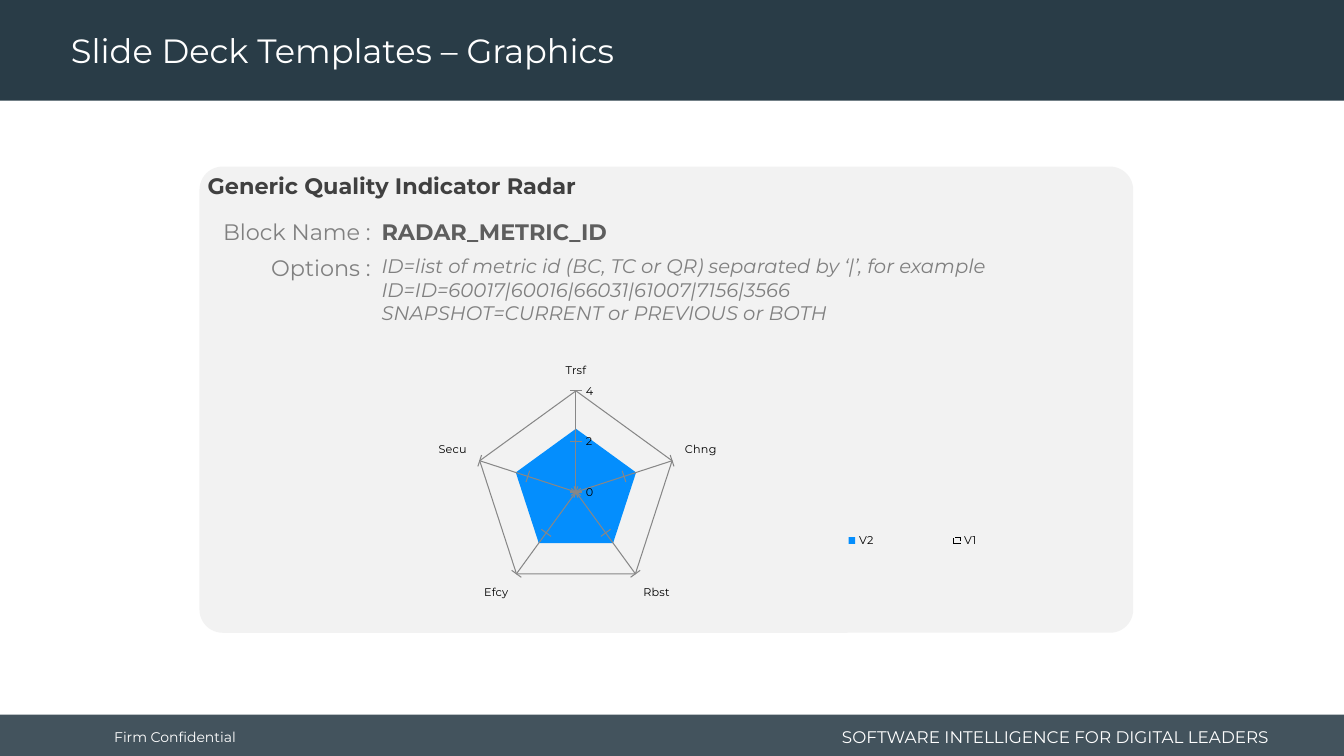
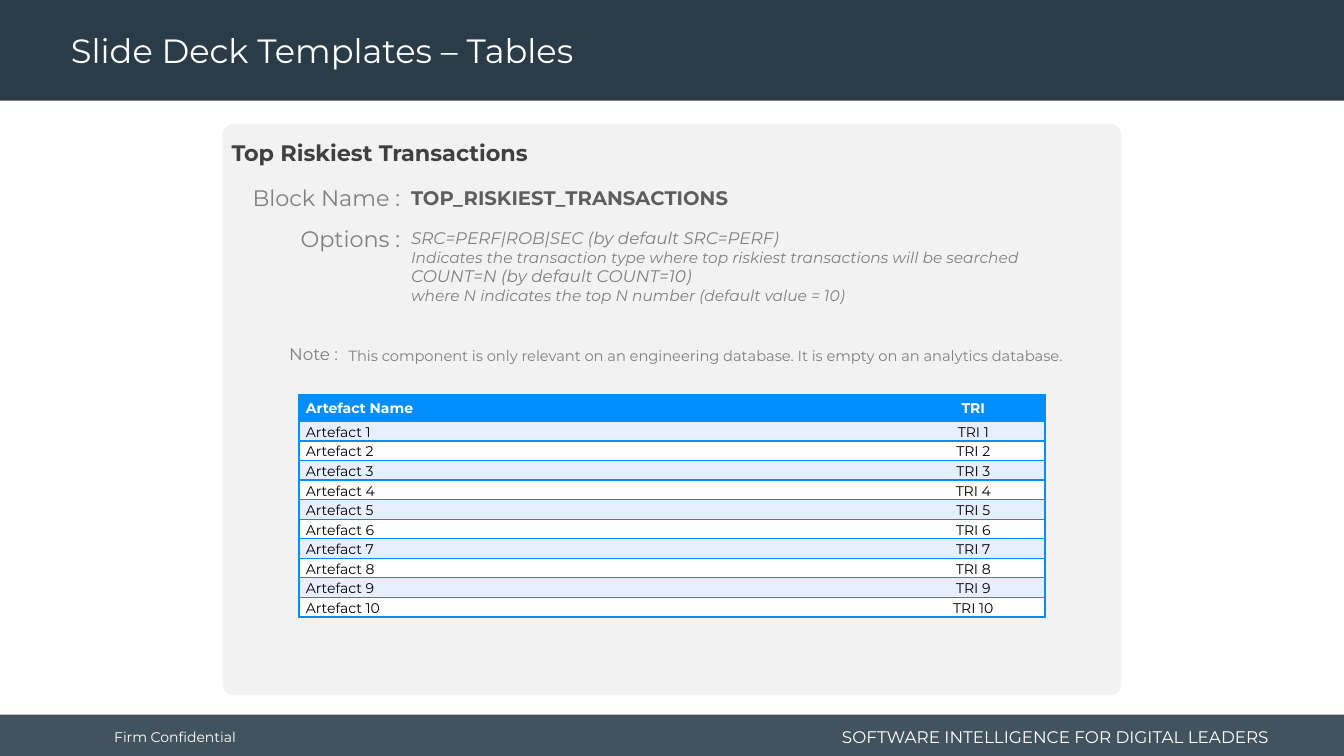
"""Build two slides that document report blocks: a radar chart and a table."""
from dataclasses import dataclass

from lxml import etree
from pptx import Presentation
from pptx.chart.data import CategoryChartData
from pptx.dml.color import RGBColor
from pptx.enum import chart as charts, dml, shapes, text
from pptx.oxml import ns
from pptx.util import Pt

FONT = "Montserrat"
NAVY = RGBColor(0x29, 0x3C, 0x47)
WHITE = RGBColor(0xFF, 0xFF, 0xFF)
BLACK = RGBColor(0, 0, 0)
CARD_GRAY = RGBColor(0xF2, 0xF2, 0xF2)
HEADING = RGBColor(0x40, 0x40, 0x40)
NAME_GRAY = RGBColor(0x5E, 0x5E, 0x5E)
TEXT_GRAY = RGBColor(0x80, 0x80, 0x80)
AXIS_GRAY = RGBColor(0x87, 0x87, 0x87)
BLUE = RGBColor(0x04, 0x8E, 0xFD)
PALE_BLUE = RGBColor(0xE7, 0xEE, 0xFF)

LEFT, CENTER, RIGHT = text.PP_ALIGN.LEFT, text.PP_ALIGN.CENTER, text.PP_ALIGN.RIGHT
NO_STYLE_TABLE = "{2D5ABB26-0587-4C30-8999-92F81FD0307C}"
PAGE_WIDTH, PAGE_HEIGHT = 960, 540
FOOTER_TOP = 510.5
LABEL_OVERLAP = 6.5


@dataclass(frozen=True)
class Area:
    """A rectangle in points."""
    left: float
    top: float
    width: float
    height: float

    def lengths(self) -> tuple:
        """Return the four lengths for a shape call."""
        return Pt(self.left), Pt(self.top), Pt(self.width), Pt(self.height)


@dataclass(frozen=True)
class Style:
    """The look of a piece of text."""
    size: float
    color: RGBColor
    bold: bool = False
    italic: bool = False
    align: text.PP_ALIGN = LEFT


@dataclass(frozen=True)
class Caption:
    """A text box whose lines may each have their own size."""
    area: Area
    lines: tuple
    style: Style
    sizes: tuple = ()
    wrap: bool = True
    side_inset: float = 7.2
    middle: bool = False


@dataclass(frozen=True)
class Field:
    """A right-aligned label with its value beside it."""
    label: str
    label_top: float
    label_width: float
    label_size: float
    value: Caption


@dataclass(frozen=True)
class Card:
    """A rounded panel with a heading and fields."""
    area: Area
    corner: float
    heading: str
    heading_area: Area
    fields: tuple


def format_paragraph(para, style: Style, size: float | None = None) -> None:
    """Apply a style to a paragraph and its runs."""
    para.alignment = style.align
    for span in para.runs:
        span.font.name = FONT
        span.font.size = Pt(size or style.size)
        span.font.bold = style.bold
        span.font.italic = style.italic
        span.font.color.rgb = style.color


def add_panel(page, kind, area: Area, color: RGBColor):
    """Add a plain filled shape."""
    panel = page.shapes.add_shape(kind, *area.lengths())
    panel.shadow.inherit = False
    panel.fill.solid()
    panel.fill.fore_color.rgb = color
    panel.line.fill.background()
    return panel


def add_caption(page, caption: Caption) -> None:
    """Add a text box."""
    frame = page.shapes.add_textbox(*caption.area.lengths()).text_frame
    frame.word_wrap = caption.wrap
    frame.margin_left = frame.margin_right = Pt(caption.side_inset)
    if caption.middle:
        frame.vertical_anchor = text.MSO_ANCHOR.MIDDLE
    frame.text = "\n".join(caption.lines)
    sizes = caption.sizes or (caption.style.size,) * len(caption.lines)
    for para, size in zip(frame.paragraphs, sizes):
        format_paragraph(para, caption.style, size)


def add_page(deck, title: str):
    """Add a slide with its bands, footer and title."""
    page = deck.slides.add_slide(deck.slide_layouts[5])
    footer = add_panel(page, shapes.MSO_SHAPE.RECTANGLE,
                       Area(0, FOOTER_TOP, PAGE_WIDTH, PAGE_HEIGHT - FOOTER_TOP), NAVY)
    color = footer.fill._xPr.find(".//" + ns.qn("a:srgbClr"))
    etree.SubElement(color, ns.qn("a:alpha"), val="88000")
    add_panel(page, shapes.MSO_SHAPE.RECTANGLE, Area(0, 0, PAGE_WIDTH, 72), NAVY)
    add_caption(page, Caption(Area(74.5, 512, 106.5, 29), ("Firm Confidential",),
                              Style(10, WHITE), wrap=False, middle=True))
    add_caption(page, Caption(Area(584, 515, 329.5, 23),
                              ("SOFTWARE INTELLIGENCE FOR DIGITAL LEADERS",),
                              Style(12, WHITE, align=RIGHT), middle=True))
    box = page.shapes.title
    box.left, box.top, box.width, box.height = Area(43.5, 3, 690, 69).lengths()
    frame = box.text_frame
    frame.text = title
    frame.auto_size = text.MSO_AUTO_SIZE.NONE
    frame.vertical_anchor = text.MSO_ANCHOR.MIDDLE
    frame.paragraphs[0].line_spacing = 0.9
    format_paragraph(frame.paragraphs[0], Style(24, WHITE))
    page.shapes._spTree.append(box._element)
    return page


def add_card(page, card: Card) -> None:
    """Draw a panel, its heading and its fields."""
    panel = add_panel(page, shapes.MSO_SHAPE.ROUNDED_RECTANGLE, card.area, CARD_GRAY)
    panel.adjustments[0] = card.corner
    add_caption(page, Caption(card.heading_area, (card.heading,),
                              Style(16, HEADING, bold=True), side_inset=14.4))
    for field in card.fields:
        add_caption(page, field.value)
        left = field.value.area.left + LABEL_OVERLAP - field.label_width
        area = Area(left, field.label_top, field.label_width, field.label_size + 10.5)
        add_caption(page, Caption(area, (field.label,),
                                  Style(field.label_size, TEXT_GRAY, align=RIGHT), wrap=False))


def set_layout(parent, index: int, inner: bool, **fractions: float) -> None:
    """Place a chart part by fractions of the chart area."""
    for old in parent.findall(ns.qn("c:layout")):
        parent.remove(old)
    layout = etree.Element(ns.qn("c:layout"))
    manual = etree.SubElement(layout, ns.qn("c:manualLayout"))
    if inner:
        etree.SubElement(manual, ns.qn("c:layoutTarget"), val="inner")
    for mode in ("xMode", "yMode"):
        etree.SubElement(manual, ns.qn(f"c:{mode}"), val="edge")
    for name, value in fractions.items():
        etree.SubElement(manual, ns.qn(f"c:{name}"), val=str(value))
    parent.insert(index, layout)


def add_radar(page, area: Area) -> None:
    """Add the filled radar chart."""
    data = CategoryChartData()
    data.categories = ["Trsf", "Chng", "Rbst", "Efcy", "Secu"]
    for name, value in (("V2", 2.5), ("V1", 1.5)):
        data.add_series(name, [value] * 5)
    chart = page.shapes.add_chart(charts.XL_CHART_TYPE.RADAR_FILLED, *area.lengths(), data).chart
    chart.has_title = False
    chart.font.name, chart.font.size = FONT, Pt(8)
    chart.font.color.rgb = BLACK
    chart.has_legend = True
    chart.legend.position = charts.XL_LEGEND_POSITION.RIGHT
    chart.legend.include_in_layout = False
    set_layout(chart.legend._element, 1, False, x=0.63, y=0.62, w=0.35, h=0.1)
    set_layout(chart._chartSpace.chart.plotArea, 0, True, x=0.16, y=0.13, w=0.45, h=0.73)

    values, categories = chart.value_axis, chart.category_axis
    values.minimum_scale, values.maximum_scale, values.major_unit = 0, 4, 2
    values.major_tick_mark = charts.XL_TICK_MARK.CROSS
    values.tick_labels.number_format = "0"
    values.tick_labels.number_format_is_linked = False
    categories.major_tick_mark = charts.XL_TICK_MARK.OUTSIDE
    for axis in (values, categories):
        axis.minor_tick_mark = charts.XL_TICK_MARK.NONE
        axis.has_major_gridlines = True
        for line in (axis.format.line, axis.major_gridlines.format.line):
            line.color.rgb = AXIS_GRAY
            line.width = Pt(0.75)

    plot = chart.plots[0]
    plot.vary_by_categories = False
    current, previous = plot.series
    current.format.fill.solid()
    current.format.fill.fore_color.rgb = BLUE
    current.format.line.fill.background()
    previous.format.fill.background()
    previous.format.line.color.rgb = BLACK
    previous.format.line.width = Pt(1.25)
    previous.format.line.dash_style = dml.MSO_LINE.LONG_DASH


def add_borders(cell, sides: str) -> None:
    """Give the named sides of a cell a blue line."""
    properties = cell._tc.get_or_add_tcPr()
    for index, side in enumerate(sides):
        line = etree.Element(ns.qn(f"a:ln{side}"), w=str(Pt(1)))
        fill = etree.SubElement(line, ns.qn("a:solidFill"))
        etree.SubElement(fill, ns.qn("a:srgbClr"), val=str(BLUE))
        properties.insert(index, line)


def add_artefact_table(page, left: float, top: float) -> None:
    """Add the banded table of artefacts."""
    rows = [("Artefact Name", "TRI")]
    rows += [(f"Artefact {number}", f"TRI {number}") for number in range(1, 11)]
    widths, heights = (430.5, 102.5), (19.5,) + (14,) * 10
    area = Area(left, top, sum(widths), sum(heights))
    table = page.shapes.add_table(len(rows), len(widths), *area.lengths()).table
    table.first_row = table.horz_banding = False
    table._tbl.tblPr.find(ns.qn("a:tableStyleId")).text = NO_STYLE_TABLE
    for column, width in zip(table.columns, widths):
        column.width = Pt(width)
    for index, (values, height) in enumerate(zip(rows, heights)):
        header = index == 0
        table.rows[index].height = Pt(height)
        fill = BLUE if header else PALE_BLUE if index % 2 else WHITE
        for column, (value, align, sides) in enumerate(zip(values, (LEFT, CENTER), ("LTB", "RTB"))):
            cell = table.cell(index, column)
            cell.text = value
            cell.margin_left = cell.margin_right = Pt(5)
            cell.margin_top = cell.margin_bottom = Pt(0)
            cell.vertical_anchor = text.MSO_ANCHOR.MIDDLE if header else text.MSO_ANCHOR.TOP
            cell.fill.solid()
            cell.fill.fore_color.rgb = fill
            para = cell.text_frame.paragraphs[0]
            para.line_spacing = 1.15
            format_paragraph(para, Style(10, WHITE if header else BLACK, bold=header, align=align))
            add_borders(cell, sides)


RADAR_CARD = Card(
    Area(142.5, 119, 667, 333), 0.05, "Generic Quality Indicator Radar", Area(134, 119.5, 641, 26.5),
    (Field("Block Name :", 152.5, 120, 16,
           Caption(Area(265.5, 152.5, 409, 26.5), ("RADAR_METRIC_ID",),
                   Style(16, NAME_GRAY, bold=True))),
     Field("Options :", 178, 87, 16,
           Caption(Area(265.5, 178, 537, 58),
                   ("ID=list of metric id (BC, TC or QR) separated by ‘|’, for example "
                    "ID=ID=60017|60016|66031|61007|7156|3566",
                    "SNAPSHOT=CURRENT or PREVIOUS or BOTH"),
                   Style(14, TEXT_GRAY, italic=True)))))

TABLE_CARD = Card(
    Area(159, 88.5, 642, 408), 0.02, "Top Riskiest Transactions", Area(151, 96, 641.5, 26.5),
    (Field("Block Name :", 128, 120, 16,
           Caption(Area(286.5, 129.5, 522, 24.5), ("TOP_RISKIEST_TRANSACTIONS",),
                   Style(14, NAME_GRAY, bold=True))),
     Field("Options :", 157, 87, 16,
           Caption(Area(286.5, 159, 522, 63.5),
                   ("SRC=PERF|ROB|SEC (by default SRC=PERF)",
                    "Indicates the transaction type where top riskiest transactions will be searched",
                    "COUNT=N (by default COUNT=10)",
                    "where N indicates the top N number (default value = 10)"),
                   Style(12, TEXT_GRAY, italic=True), sizes=(12, 11, 12, 11))),
     Field("Note :", 242, 50.5, 12,
           Caption(Area(242, 244, 551, 21),
                   ("This component is only relevant on an engineering database. "
                    "It is empty on an analytics database.",),
                   Style(10.5, TEXT_GRAY)))))


def main() -> None:
    """Build and save the deck."""
    deck = Presentation()
    deck.slide_width, deck.slide_height = Pt(PAGE_WIDTH), Pt(PAGE_HEIGHT)
    graphics = add_page(deck, "Slide Deck Templates – Graphics")
    add_card(graphics, RADAR_CARD)
    add_radar(graphics, Area(191, 253.5, 572.5, 198))
    tables = add_page(deck, "Slide Deck Templates – Tables")
    add_card(tables, TABLE_CARD)
    add_artefact_table(tables, 213.5, 281.5)
    deck.save("out.pptx")


if __name__ == "__main__":
    main()
